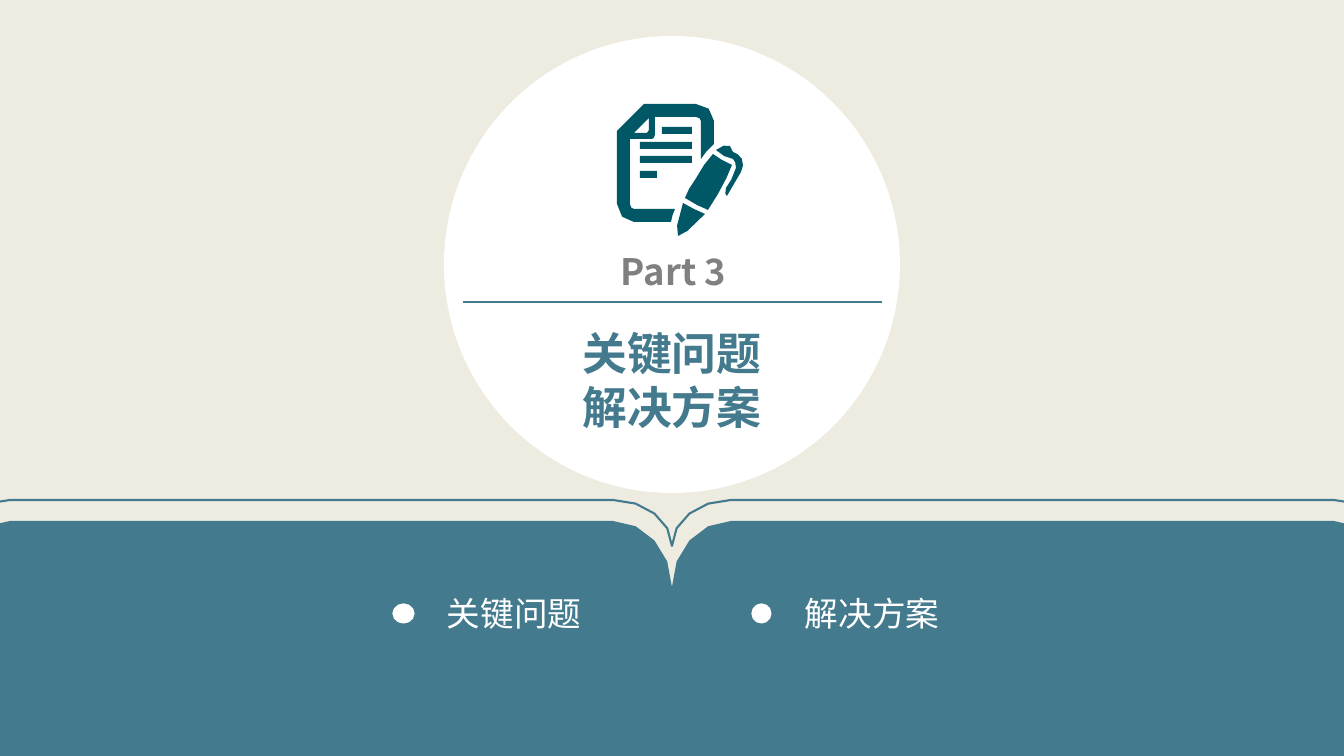
from lxml import etree
from pptx import Presentation
from pptx.dml.color import RGBColor
from pptx.enum.shapes import MSO_CONNECTOR, MSO_SHAPE
from pptx.enum.text import MSO_AUTO_SIZE, PP_ALIGN
from pptx.oxml.ns import qn
from pptx.util import Pt

PX = 12192000 / 1344
FONT = "Noto Sans CJK SC"
CREAM = RGBColor(0xEE, 0xEC, 0xE1)
BLUE = RGBColor(0x44, 0x7A, 0x8D)
TEAL = RGBColor(0x00, 0x58, 0x67)
GRAY = RGBColor(0x80, 0x80, 0x80)
WHITE = RGBColor(0xFF, 0xFF, 0xFF)
OVAL = MSO_SHAPE.OVAL
STRAIGHT = MSO_CONNECTOR.STRAIGHT
CENTER, LEFT = PP_ALIGN.CENTER, PP_ALIGN.LEFT
GROW = MSO_AUTO_SIZE.SHAPE_TO_FIT_TEXT

deck = Presentation()
deck.slide_width, deck.slide_height = round(1344 * PX), round(756 * PX)
page = deck.slides.add_slide(deck.slide_layouts[6])
page.background.fill.solid()
page.background.fill.fore_color.rgb = CREAM


def add_outline(contours, curve_steps):
    builder = None
    for start, *segments in contours:
        points = [start]
        for segment in segments:
            if len(segment) == 2:
                points.append(segment)
                continue
            x0, y0 = points[-1]
            x1, y1, x2, y2, x3, y3 = segment
            for step in range(1, curve_steps + 1):
                t = step / curve_steps
                a, b, c, d = (1 - t) ** 3, 3 * t * (1 - t) ** 2, 3 * t * t * (1 - t), t ** 3
                points.append((a * x0 + b * x1 + c * x2 + d * x3,
                               a * y0 + b * y1 + c * y2 + d * y3))
        points = [(x * PX, y * PX) for x, y in points]
        if builder is None:
            builder = page.shapes.build_freeform(*points[0], scale=1.0)
        else:
            builder.move_to(*points[0])
        builder.add_line_segments(points[1:], close=True)
    outline = builder.convert_to_shape()
    outline.shadow.inherit = False
    return outline


def add_text(left, top, width, height, lines, size, color, bold=False, align=LEFT):
    box = page.shapes.add_textbox(*(round(v * PX) for v in (left, top, width, height)))
    frame = box.text_frame
    frame.word_wrap = True
    frame.auto_size = GROW
    frame.text = "\n".join(lines)
    for para in frame.paragraphs:
        para.alignment = align
        for span in para.runs:
            span.font.size = Pt(size)
            span.font.bold = bold
            span.font.name = FONT
            span.font.color.rgb = color
            east_asian = etree.SubElement(span.font._element, qn("a:ea"))
            east_asian.set("typeface", FONT)
    return frame


left, spine, right = -49, 672, 1393
corner = 59
books = []
for top, bottom, rise in ((521, 831, 66), (500, 720, 46)):
    pull_x, pull_y = round(corner * 0.45), round(rise * 0.45)
    contour = [(left + corner, top)]
    for x, y, side in ((spine, top, -1), (spine, top, 1), (right, top, -1),
                       (right, bottom, -1), (spine, bottom, 1), (spine, bottom, -1),
                       (left, bottom, 1), (left, top, 1)):
        inward = 1 if y == top else -1
        flat = (x + side * corner, y)
        flat_pull = (x + side * pull_x, y)
        tip_pull = (x, y + inward * pull_y)
        tip = (x, y + inward * rise)
        if (side == -1) == (y == top):
            contour += [flat, flat_pull + tip_pull + tip]
        elif contour[-1] == tip:
            contour.append(tip_pull + flat_pull + flat)
        else:
            contour += [tip, tip_pull + flat_pull + flat]
    books.append(add_outline([contour], 4))

cover, edge = books
cover.fill.solid()
cover.fill.fore_color.rgb = BLUE
cover.line.fill.background()
edge.fill.background()
edge.line.color.rgb = BLUE
edge.line.width = Pt(1.5)

for x, y, width, height, border in ((444, 36, 456, 457, 0), (394, 605, 19, 17, 2.25),
                                    (753, 605, 17, 17, 2.25)):
    disc = page.shapes.add_shape(OVAL, *(round(v * PX) for v in (x, y, width, height)))
    disc.shadow.inherit = False
    disc.fill.solid()
    disc.fill.fore_color.rgb = WHITE
    if border:
        disc.line.color.rgb = WHITE
        disc.line.width = Pt(border)
    else:
        disc.line.fill.background()

sheet = [(644, 104), (696, 104), (706, 104, 714, 111, 714, 121), (714, 144),
         (708, 149, 705, 153, 701, 159), (701, 121), (701, 119, 699, 117, 696, 117),
         (655, 117), (655, 135), (655, 137, 653, 139, 652, 139), (630, 139), (630, 204),
         (630, 207, 632, 209, 634, 209), (675, 209), (673, 213, 672, 217, 671, 222),
         (634, 222), (625, 222, 617, 214, 617, 204), (617, 131)]
fold = [(634, 133), (647, 133), (649, 130), (649, 118)]
clip = [(730, 146), (733, 152), (736, 153, 740, 155, 742, 159),
        (744, 163, 743, 168, 741, 172), (727, 196),
        (725, 197, 725, 191, 726, 188), (730, 183, 733, 177, 736, 168),
        (737, 163, 734, 161, 733, 159), (724, 156), (716, 150),
        (722, 146, 726, 144, 730, 146)]
barrel = [(732, 165), (729, 173, 725, 182, 718, 194), (708, 210), (697, 205), (685, 198),
          (688, 192, 690, 185, 695, 180), (701, 169, 707, 160, 713, 154),
          (722, 160), (732, 165)]
nib = [(705, 214), (692, 228, 680, 238, 678, 236), (675, 235, 677, 220, 683, 203),
       (694, 209), (705, 214)]
writing = [[(x, y), (end, y), (end, y + 7), (x, y + 7)]
           for x, y, end in ((662, 127, 692), (640, 142, 692), (640, 156, 692), (640, 171, 657))]
icon = add_outline([sheet, fold, clip, barrel, nib, *writing], 2)
icon.fill.solid()
icon.fill.fore_color.rgb = TEAL
icon.line.fill.background()

divider = page.shapes.add_connector(STRAIGHT, *(round(v * PX) for v in (463, 302, 882, 302)))
divider.line.color.rgb = BLUE
divider.line.width = Pt(1)
etree.SubElement(divider._element.spPr, qn("a:effectLst"))

add_text(497, 321, 350, 119, ["关键问题", "解决方案"], 32, BLUE, True, CENTER)
part = add_text(621, 249, 110, 44, ["Part 3"], 26, GRAY, True)
part.word_wrap = False
part.margin_left = part.margin_right = part.margin_top = part.margin_bottom = 0
add_text(437, 588, 315, 50, ["关键问题"], 24, WHITE)
add_text(795, 588, 293, 50, ["解决方案"], 24, WHITE)

deck.save("out.pptx")
